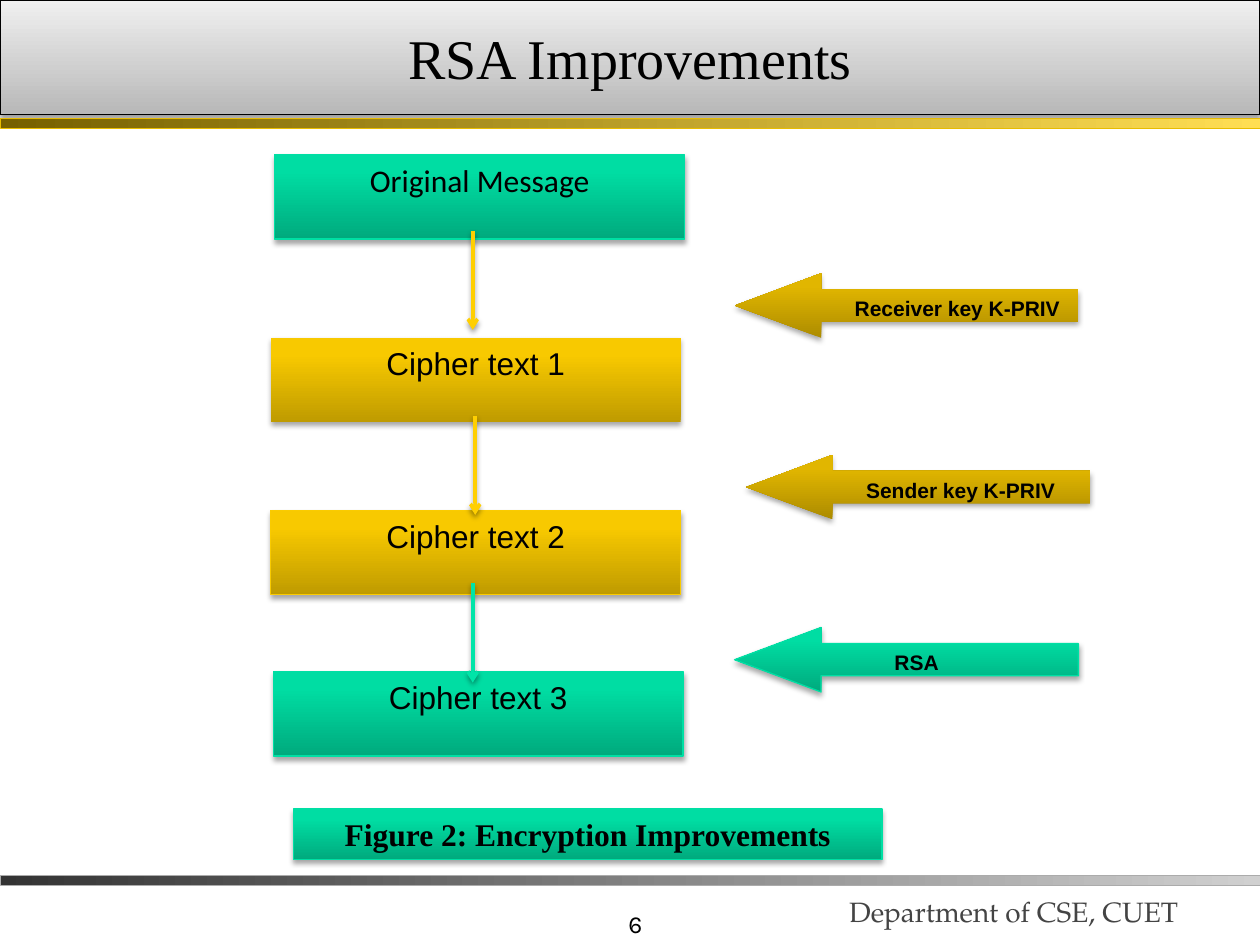
from dataclasses import dataclass

from lxml import etree
from pptx import Presentation
from pptx.dml.color import RGBColor
from pptx.enum import shapes, text
from pptx.oxml.ns import qn
from pptx.util import Cm, Pt

COLORS = {
    "black": "000000", "footer": "444444",
    "gold_line": "FFCF01", "green_line": "00E4A8",
    "gold_edge": "FACB00", "green_edge": "00DFA4",
    "bar_gold_edge": "E8BC00", "bar_gray_edge": "ABABAB",
}
GRADIENTS = {
    "gold": [(0, "BF9B00"), (80, "F8C900"), (100, "F9CA00")],
    "dark_gold": [(0, "AD8C00"), (80, "E1B600"), (100, "E2B700")],
    "green": [(0, "00AA7D"), (80, "00DDA3"), (100, "00DEA4")],
    "title": [(0, "B8B8B8"), (100, "F0F0F0")],
    "bar_gold": [(0, "766000"), (100, "FFDE53")],
    "bar_gray": [(0, "333333"), (100, "D0D0D0")],
}
SHAPE = shapes.MSO_SHAPE
ALIGN = text.PP_ALIGN
ANCHOR = text.MSO_ANCHOR


@dataclass
class Block:
    label: str
    left: float
    top: float
    gradient: str
    edge: str | None = None
    font: str = "Arial"
    indent: float = 0


@dataclass
class Flow:
    x: float
    top: float
    color: str


@dataclass
class Bar:
    top: float
    gradient: str
    edge: str


BARS = [Bar(17.65, "bar_gray", "bar_gray_edge"), Bar(2.39, "bar_gold", "bar_gold_edge")]
STAGES = [
    Block("Original Message", 5.54, 3.12, "green", "green_edge", "Calibri"),
    Block("Cipher text 1", 5.46, 6.81, "gold"),
    Block("Cipher text 2", 5.46, 10.29, "gold", "gold_edge"),
    Block("Cipher text 3", 5.51, 13.54, "green", "green_edge"),
]
KEYS = [
    Block("Receiver key K-PRIV", 14.81, 5.51, "dark_gold", indent=1.3),
    Block("Sender key K-PRIV", 15.04, 9.17, "dark_gold", indent=1.3),
    Block("RSA", 14.81, 12.65, "green", "green_edge", indent=2.1),
]
FLOWS = [Flow(9.58, 8.38, "gold_line"), Flow(9.53, 4.65, "gold_line"),
         Flow(9.53, 11.76, "green_line")]
FLOW_LENGTH = 2


def rgb(name: str) -> RGBColor:
    return RGBColor.from_string(COLORS[name])


def add_effects(sp, opacity: int, distance: float = 1.6) -> None:
    """Give a downward shadow, or none at zero opacity."""
    spPr = sp._element.spPr
    effects = etree.SubElement(spPr, qn("a:effectLst"))
    if opacity:
        shadow = etree.SubElement(effects, qn("a:outerShdw"), blurRad=str(Pt(3.1)),
                                  dist=str(Pt(distance)), dir="5400000", rotWithShape="0")
        color = etree.SubElement(shadow, qn("a:srgbClr"), val=COLORS["black"])
        etree.SubElement(color, qn("a:alpha"), val=str(opacity * 1000))


def style(sp, gradient: str, edge: str | None, width: float = 0.75,
          angle: int = 90, opacity: int = 35) -> None:
    sp.fill.gradient()
    sp.fill.gradient_angle = angle
    stops = sp._element.spPr.find(qn("a:gradFill")).find(qn("a:gsLst"))
    for stop in list(stops):
        stops.remove(stop)
    for position, color in GRADIENTS[gradient]:
        stop = etree.SubElement(stops, qn("a:gs"), pos=str(position * 1000))
        etree.SubElement(stop, qn("a:srgbClr"), val=color)
    if edge:
        sp.line.color.rgb = rgb(edge)
        sp.line.width = Pt(width)
    else:
        sp.line.fill.background()
    add_effects(sp, opacity, 1.8)


def write(sp, label: str, font: str, size: int, align=ALIGN.CENTER,
          anchor=ANCHOR.TOP, bold: bool = False, color: str = "black"):
    tf = sp.text_frame
    tf.word_wrap = True
    tf.vertical_anchor = anchor
    p = tf.paragraphs[0]
    p.text = label
    p.alignment = align
    p.font.name, p.font.size, p.font.bold = font, Pt(size), bold
    p.font.color.rgb = rgb(color)
    return p


def add_shape(slide, kind, left: float, top: float, width: float, height: float):
    return slide.shapes.add_shape(kind, Cm(left), Cm(top), Cm(width), Cm(height))


def add_stage(slide, block: Block) -> None:
    sp = add_shape(slide, SHAPE.FLOWCHART_PROCESS, block.left, block.top, 8.26, 1.7)
    style(sp, block.gradient, block.edge)
    write(sp, block.label, block.font, 18)


def add_key(slide, block: Block) -> None:
    sp = add_shape(slide, SHAPE.LEFT_ARROW, block.left, block.top, 6.93, 1.3)
    sp.adjustments[1] = 1.34
    style(sp, block.gradient, block.edge)
    p = write(sp, block.label, "Arial", 12, ALIGN.LEFT, bold=True)
    sp.text_frame.margin_right = 0
    p._p.get_or_add_pPr().set("marL", str(Cm(block.indent)))


def add_flow(slide, flow: Flow) -> None:
    line = slide.shapes.add_connector(shapes.MSO_CONNECTOR.STRAIGHT, Cm(flow.x), Cm(flow.top),
                                      Cm(flow.x), Cm(flow.top + FLOW_LENGTH))
    line.line.color.rgb = rgb(flow.color)
    line.line.width = Pt(2)
    etree.SubElement(line._element.spPr.find(qn("a:ln")), qn("a:tailEnd"), type="arrow")
    add_effects(line, 38)


def add_title(slide) -> None:
    sp = slide.shapes.title
    sp.left, sp.top, sp.width, sp.height = Cm(0), Cm(0), Cm(25.4), Cm(2.31)
    style(sp, "title", "black", opacity=38)
    write(sp, "RSA Improvements", "Times New Roman", 32, anchor=ANCHOR.MIDDLE)


def add_footer(slide) -> None:
    number = slide.shapes.add_textbox(Cm(7.92), Cm(17.78), Cm(5.28), Cm(1.27))
    write(number, "6", "Karla", 14, ALIGN.RIGHT, ANCHOR.BOTTOM)
    department = slide.shapes.add_textbox(Cm(16.87), Cm(17.27), Cm(8.74), Cm(1.57))
    write(department, "Department of CSE, CUET", "TeX Gyre Pagella", 16,
          ALIGN.LEFT, ANCHOR.BOTTOM, color="footer")


def main() -> None:
    prs = Presentation()
    prs.slide_width, prs.slide_height = Cm(25.4), Cm(19.05)
    slide = prs.slides.add_slide(prs.slide_layouts[5])
    add_title(slide)
    add_footer(slide)
    for bar in BARS:
        sp = add_shape(slide, SHAPE.RECTANGLE, 0, bar.top, 25.4, 0.2)
        style(sp, bar.gradient, bar.edge, 0.25, angle=0, opacity=0)
    for stage in STAGES:
        add_stage(slide, stage)
    for key in KEYS:
        add_key(slide, key)
    for flow in FLOWS:
        add_flow(slide, flow)
    caption = add_shape(slide, SHAPE.RECTANGLE, 5.92, 16.31, 11.86, 1.02)
    style(caption, "green", "green_edge")
    write(caption, "Figure 2: Encryption Improvements", "Times New Roman", 18,
          anchor=ANCHOR.MIDDLE, bold=True)
    prs.save("out.pptx")


if __name__ == "__main__":
    main()
